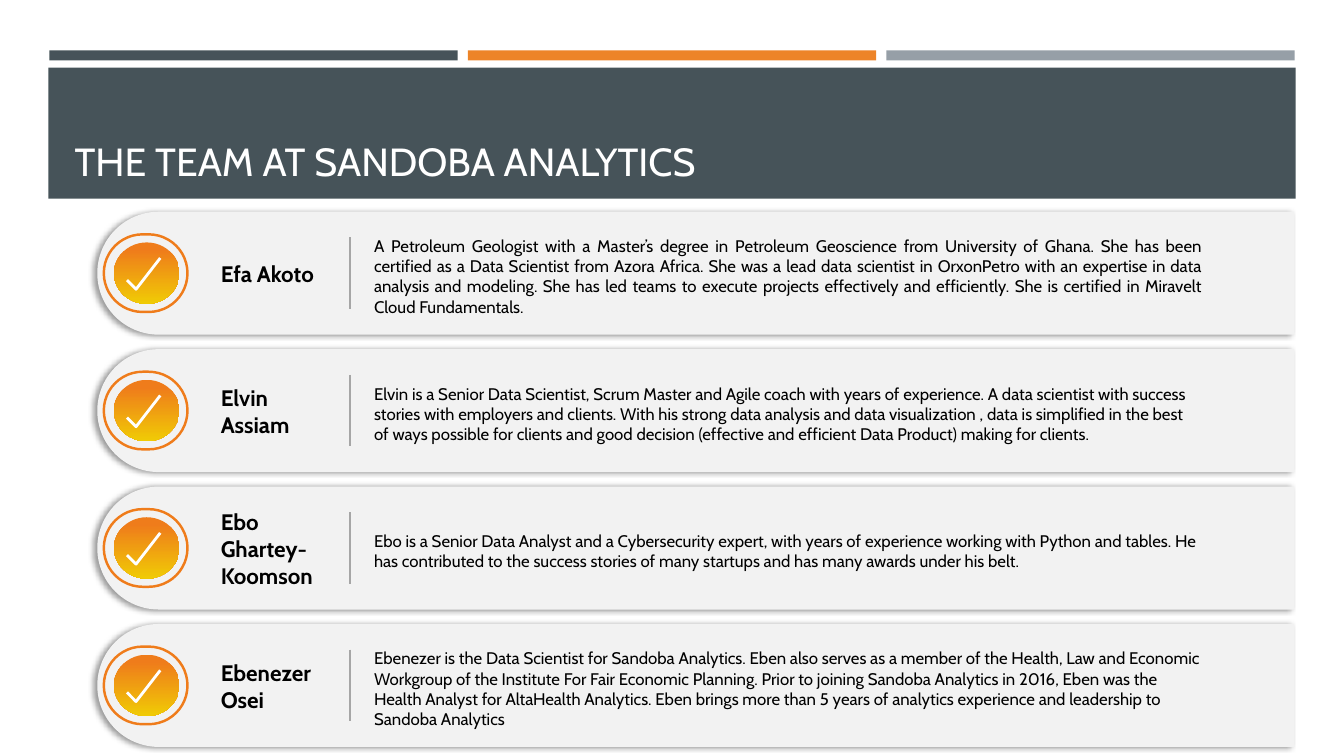
from lxml import etree
from pptx import Presentation
from pptx.dml.color import RGBColor
from pptx.enum.shapes import MSO_CONNECTOR, MSO_SHAPE
from pptx.enum.text import MSO_ANCHOR, PP_ALIGN
from pptx.oxml import parse_xml
from pptx.oxml.ns import nsdecls, qn
from pptx.util import Inches, Pt

RECT, OVAL = MSO_SHAPE.RECTANGLE, MSO_SHAPE.OVAL
PILL, TAB = MSO_SHAPE.ROUNDED_RECTANGLE, MSO_SHAPE.ROUND_2_SAME_RECTANGLE
STRAIGHT = MSO_CONNECTOR.STRAIGHT
MIDDLE, BOTTOM = MSO_ANCHOR.MIDDLE, MSO_ANCHOR.BOTTOM
LEFT, JUSTIFY = PP_ALIGN.LEFT, PP_ALIGN.JUSTIFY

FONT = "Cabin"
COLORS = {
    "slate": "465359", "orange": "ED8428", "gray": "969FA7",
    "card": "F2F2F2", "divider": "A6A6A6", "ring": "EF7C1B",
    "gold": "F0CB05", "white": "FFFFFF", "black": "000000",
}
FIRST_ROW, LAST_ROW = 2.71, 6.8  # vertical centres of the cards

TEAM = [
    ("Efa Akoto", JUSTIFY,
     "A Petroleum Geologist with a Master’s degree in Petroleum Geoscience from "
     "University of Ghana. She has been certified as a Data Scientist from Azora "
     "Africa. She was a lead data scientist in OrxonPetro with an expertise in data "
     "analysis and modeling. She has led teams to execute projects effectively and "
     "efficiently. She is certified in Miravelt Cloud Fundamentals."),
    ("Elvin Assiam", LEFT,
     "Elvin is a Senior Data Scientist, Scrum Master and Agile coach with years of "
     "experience. A data scientist with success stories with employers and clients. "
     "With his strong data analysis and data visualization , data is simplified in "
     "the best of ways possible for clients and good decision (effective and "
     "efficient Data Product) making for clients."),
    ("Ebo Ghartey-Koomson", LEFT,
     "Ebo is a Senior Data Analyst and a Cybersecurity expert, with years of "
     "experience working with Python and tables. He has contributed to the success "
     "stories of many startups and has many awards under his belt."),
    ("Ebenezer Osei", LEFT,
     "Ebenezer is the Data Scientist for Sandoba Analytics. Eben also serves as a "
     "member of the Health, Law and Economic Workgroup of the Institute For Fair "
     "Economic Planning. Prior to joining Sandoba Analytics in 2016, Eben was the "
     "Health Analyst for AltaHealth Analytics. Eben brings more than 5 years of "
     "analytics experience and leadership to Sandoba Analytics"),
]


def color(name):
    return RGBColor.from_string(COLORS[name])


def add_shape(s, kind, x, y, w, h, fill=None, line=None):
    sp = s.shapes.add_shape(kind, Inches(x), Inches(y), Inches(w), Inches(h))
    sp.shadow.inherit = False
    if fill:
        sp.fill.solid()
        sp.fill.fore_color.rgb = color(fill)
    else:
        sp.fill.background()
    if line:
        sp.line.color.rgb = color(line)
        sp.line.width = Pt(1.75)
    else:
        sp.line.fill.background()
    return sp


def add_text(s, text, x, y, w, h, size, fill="black", bold=False,
             align=LEFT, anchor=MIDDLE):
    tf = s.shapes.add_textbox(Inches(x), Inches(y), Inches(w), Inches(h)).text_frame
    tf.word_wrap = True
    tf.vertical_anchor = anchor
    tf.margin_left = tf.margin_right = tf.margin_top = tf.margin_bottom = 0
    tf.text = text
    p = tf.paragraphs[0]
    p.alignment = align
    font = p.runs[0].font
    font.name, font.size, font.bold = FONT, Pt(size), bold
    font.color.rgb = color(fill)


def add_card(s, mid):
    # A tall tab turned on its side, rounded on the left
    w, h = 1.22, 11.87
    sp = add_shape(s, TAB, 6.9 - w / 2, mid - h / 2, w, h, "card")
    sp.rotation = 270
    sp.adjustments[0], sp.adjustments[1] = 0.5, 0
    effects = sp.element.spPr.find(qn("a:effectLst"))
    effects.append(parse_xml(
        f'<a:outerShdw {nsdecls("a")} blurRad="{Pt(4)}" dist="{Pt(3)}" '
        f'dir="10800000" rotWithShape="0"><a:srgbClr val="{COLORS["black"]}">'
        '<a:alpha val="40000"/></a:srgbClr></a:outerShdw>'))


def add_divider(s, x, top, bottom):
    line = s.shapes.add_connector(STRAIGHT, Inches(x), Inches(top),
                                  Inches(x), Inches(bottom))
    line.line.color.rgb = color("divider")
    line.line.width = Pt(1)
    etree.SubElement(line.element.spPr, qn("a:effectLst"))


def add_badge(s, mid):
    ring = add_shape(s, PILL, 1.03, mid - 0.385, 0.83, 0.77, line="ring")
    ring.adjustments[0] = 0.5
    disc = add_shape(s, OVAL, 1.13, mid - 0.305, 0.65, 0.61)
    disc.fill.gradient()
    disc.fill.gradient_angle = 270
    stops = zip(disc.fill.gradient_stops, (0.12, 1), ("ring", "gold"))
    for stop, position, name in stops:
        stop.position = position
        stop.color.rgb = color(name)
    # Check mark
    builder = s.shapes.build_freeform(Inches(1.59), Inches(mid - 0.15))
    builder.add_line_segments([(Inches(1.35), Inches(mid + 0.16)),
                               (Inches(1.26), Inches(mid + 0.07))], close=False)
    check = builder.convert_to_shape()
    check.shadow.inherit = False
    check.fill.background()
    check.line.color.rgb = color("white")
    check.line.width = Pt(2)


def add_member(s, mid, name, align, bio):
    add_card(s, mid)
    add_text(s, bio, 3.71, mid - 0.375, 8.22, 0.81, 12, align=align)
    add_text(s, name, 2.19, mid - 0.4, 1.04, 0.81, 16, bold=True)
    add_divider(s, 3.47, mid - 0.355, mid + 0.355)
    add_badge(s, mid)


def main():
    prs = Presentation()
    prs.slide_width, prs.slide_height = Inches(13.33), Inches(7.5)
    s = prs.slides.add_slide(prs.slide_layouts[6])

    # Header
    for i, name in enumerate(("slate", "orange", "gray")):
        add_shape(s, RECT, 0.49 + 4.15 * i, 0.5, 4.05, 0.1, name)
    add_shape(s, RECT, 0.48, 0.67, 12.37, 1.3, "slate")
    add_text(s, "THE TEAM AT SANDOBA ANALYTICS", 0.74, 0.82, 11.86, 1.01, 28,
             "white", anchor=BOTTOM)

    # Team cards
    pitch = (LAST_ROW - FIRST_ROW) / (len(TEAM) - 1)
    for i, member in enumerate(TEAM):
        add_member(s, FIRST_ROW + pitch * i, *member)

    prs.save("out.pptx")


if __name__ == "__main__":
    main()
